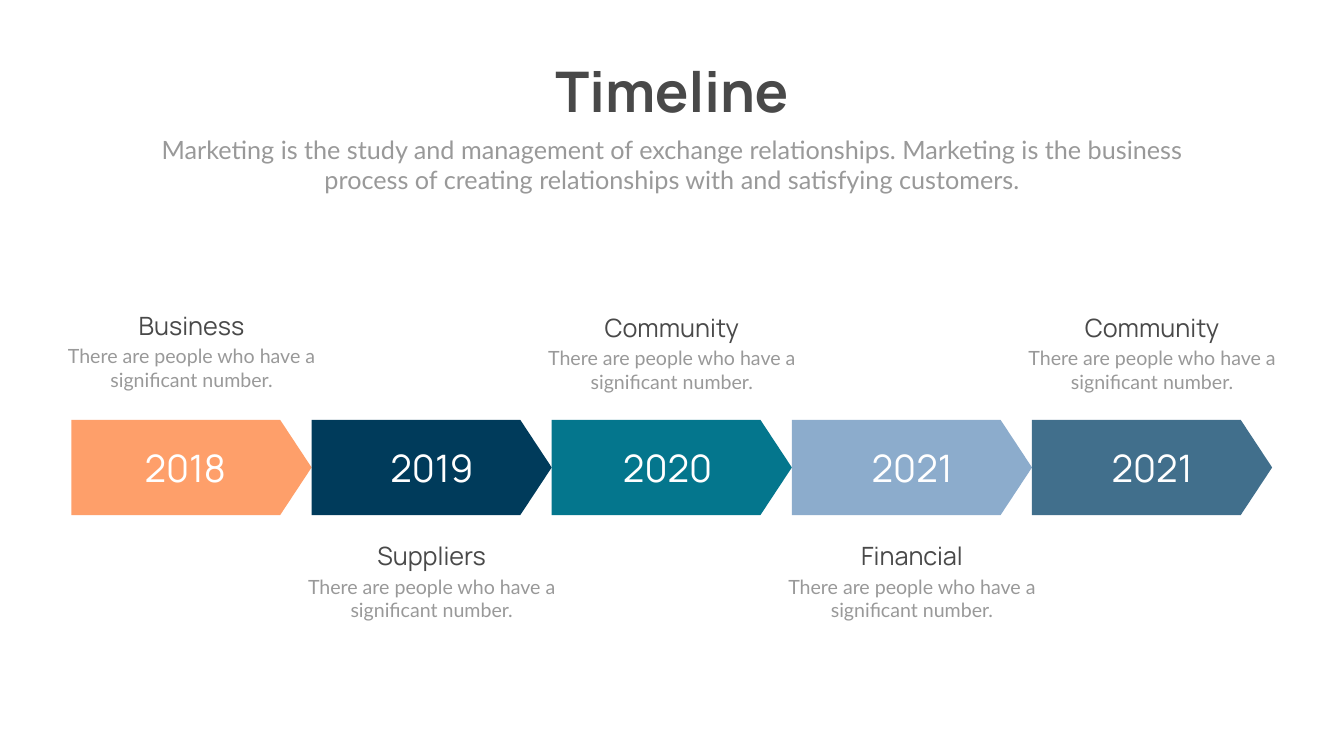
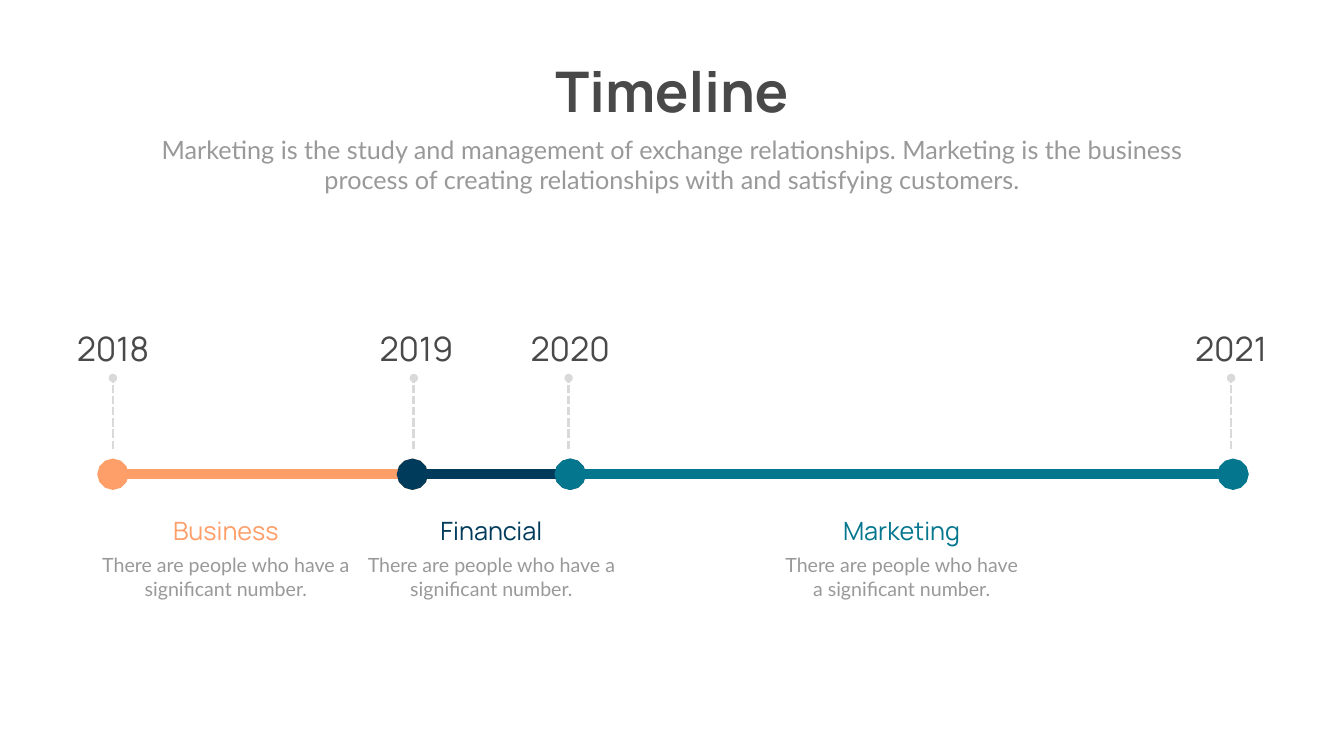
from lxml import etree
from pptx import Presentation
from pptx.dml.color import RGBColor
from pptx.enum.dml import MSO_LINE
from pptx.enum.shapes import MSO_CONNECTOR, MSO_SHAPE
from pptx.enum.text import MSO_AUTO_SIZE, PP_ALIGN
from pptx.oxml.ns import qn
from pptx.util import Cm, Pt

PENTAGON = MSO_SHAPE.PENTAGON
STRAIGHT = MSO_CONNECTOR.STRAIGHT
DASH = MSO_LINE.SQUARE_DOT
CENTER = PP_ALIGN.CENTER
GROW = MSO_AUTO_SIZE.SHAPE_TO_FIT_TEXT

COLORS = {
    "white": "FFFFFF",
    "dark": "494949",
    "gray": "999999",
    "light": "D9D9D9",
    "orange": "FE9F6A",
    "navy": "003B5B",
    "teal": "04768D",
    "sky": "8CACCC",
    "steel": "416F8C",
}

DISPLAY_FRAME = {"margin_top": 0, "margin_bottom": 0, "word_wrap": True}
BODY_FRAME = {"margin_top": Cm(0.13), "margin_bottom": Cm(0.13), "word_wrap": True}
TITLE_FRAME = {**DISPLAY_FRAME, "word_wrap": False}

STYLES = {
    "title": (TITLE_FRAME, {"name": "Manrope", "size": Pt(80), "bold": True}),
    "subtitle": (BODY_FRAME, {"name": "Lato", "size": Pt(36)}),
    "arrow year": (DISPLAY_FRAME, {"name": "Manrope", "size": Pt(54)}),
    "axis year": (DISPLAY_FRAME, {"name": "Manrope", "size": Pt(48)}),
    "heading": (DISPLAY_FRAME, {"name": "Manrope", "size": Pt(36)}),
    "caption": (BODY_FRAME, {"name": "Lato", "size": Pt(28)}),
}

SLIDE_WIDTH = 67.72
SLIDE_HEIGHT = 38.1
TITLE = "Timeline"
SUBTITLE = (
    "Marketing is the study and management of exchange relationships. "
    "Marketing is the business process of creating relationships with "
    "and satisfying customers."
)
CAPTION = "There are people who have a significant number."

ARROW_LEFT, ARROW_TOP = 3.6, 21.16
ARROW_WIDTH, ARROW_HEIGHT = 12.1, 4.8
ARROWS = [
    ("2018", 9.33, "orange", "Business", 15.62),
    ("2019", 21.76, "navy", "Suppliers", 27.23),
    ("2020", 33.64, "teal", "Community", 15.72),
    ("2021", 45.96, "sky", "Financial", 27.23),
    ("2021", 58.05, "steel", "Community", 15.72),
]

AXIS_TOP = 23.9
MARKER_BOTTOM, MARKER_TOP = 22.63, 19.05
MILESTONES = [
    ("2018", 5.69, 5.69),
    ("2019", 20.98, 20.85),
    ("2020", 28.73, 28.65),
    ("2021", 62.03, 62.03),
]
PHASES = [
    ("Business", "orange", 5.69, 20.78, 11.38, 13.77),
    ("Financial", "navy", 20.78, 28.73, 24.76, 13.94),
    ("Marketing", "teal", 28.73, 62.13, 45.43, 12.73),
]


def rgb(color):
    return RGBColor.from_string(COLORS[color])


def set_values(target, values):
    for name, value in values.items():
        setattr(target, name, value)


def add_text(page, text, style, color, center, top, width, height):
    frame_values, font_values = STYLES[style]
    box = page.shapes.add_textbox(
        Cm(center - width / 2), Cm(top), Cm(width), Cm(height)
    )
    frame = box.text_frame
    set_values(frame, {**frame_values, "auto_size": GROW})
    para = frame.paragraphs[0]
    para.alignment = CENTER
    span = para.add_run()
    span.text = text
    set_values(span.font, font_values)
    span.font.color.rgb = rgb(color)


def add_arrow(page, left, color):
    arrow = page.shapes.add_shape(
        PENTAGON, Cm(left), Cm(ARROW_TOP), Cm(ARROW_WIDTH), Cm(ARROW_HEIGHT)
    )
    arrow.adjustments[0] = 0.33
    arrow.shadow.inherit = False
    arrow.fill.solid()
    arrow.fill.fore_color.rgb = rgb(color)
    arrow.line.fill.background()


def add_line(page, start, end, color, weight, ends, dash=None):
    connector = page.shapes.add_connector(
        STRAIGHT, *(Cm(value) for value in (*start, *end))
    )
    line = connector.line
    line.color.rgb = rgb(color)
    line.width = Pt(weight)
    if dash:
        line.dash_style = dash
    properties = connector.element.spPr
    outline = properties.find(qn("a:ln"))
    for end_name in ends:
        etree.SubElement(outline, qn(f"a:{end_name}"), type="oval")
    etree.SubElement(properties, qn("a:effectLst"))


def add_label(page, heading, color, center, top, heading_size, caption_width, drop):
    add_text(page, heading, "heading", color, center, top, *heading_size)
    add_text(
        page, CAPTION, "caption", "gray", center, top + drop, caption_width, 2.64
    )


def add_page(deck):
    page = deck.slides.add_slide(deck.slide_layouts[6])
    page.background.fill.solid()
    page.background.fill.fore_color.rgb = rgb("white")
    middle = SLIDE_WIDTH / 2
    add_text(page, TITLE, "title", "dark", middle, 2.84, 13.16, 3.68)
    add_text(page, SUBTITLE, "subtitle", "gray", middle, 6.63, 52.88, 3.33)
    return page


def add_arrow_timeline(deck):
    page = add_page(deck)
    for index, (year, year_center, color, heading, label_top) in enumerate(ARROWS):
        left = ARROW_LEFT + index * ARROW_WIDTH
        add_arrow(page, left, color)
        add_text(page, year, "arrow year", "white", year_center, 22.43, 7.04, 2.29)
        add_label(
            page, heading, "dark", left + ARROW_WIDTH / 2, label_top,
            (8.26, 1.6), 13.16, 1.6,
        )


def add_axis_timeline(deck):
    page = add_page(deck)
    for heading, color, start, end, center, caption_width in PHASES:
        add_line(
            page, (start, AXIS_TOP), (end, AXIS_TOP), color, 15,
            ("headEnd", "tailEnd"),
        )
        add_label(
            page, heading, color, center, 25.96, (9.25, 1.8), caption_width, 1.78
        )
    for year, year_center, marker in MILESTONES:
        add_line(
            page, (marker, MARKER_BOTTOM), (marker, MARKER_TOP), "light", 4,
            ("tailEnd",), DASH,
        )
        add_text(page, year, "axis year", "dark", year_center, 16.54, 5.44, 2.31)


def main():
    deck = Presentation()
    set_values(
        deck, {"slide_width": Cm(SLIDE_WIDTH), "slide_height": Cm(SLIDE_HEIGHT)}
    )
    add_arrow_timeline(deck)
    add_axis_timeline(deck)
    deck.save("out.pptx")


if __name__ == "__main__":
    main()
